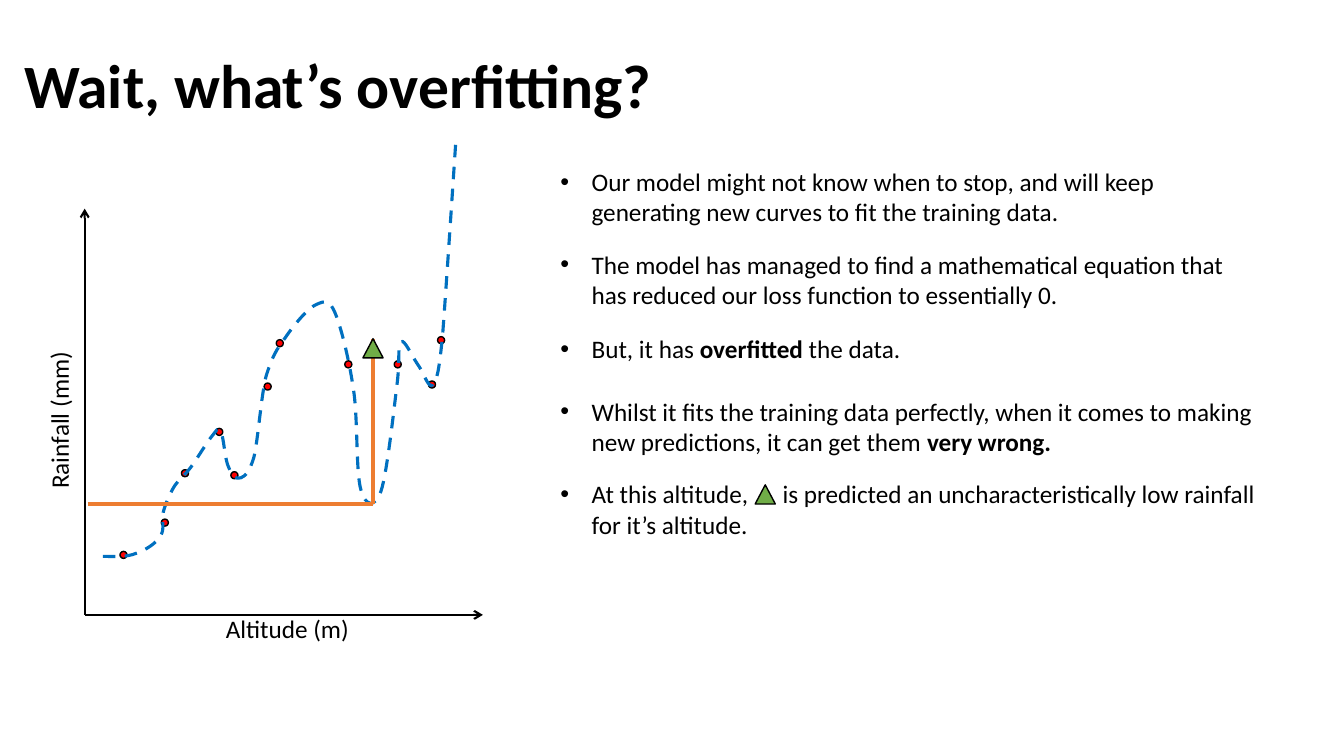
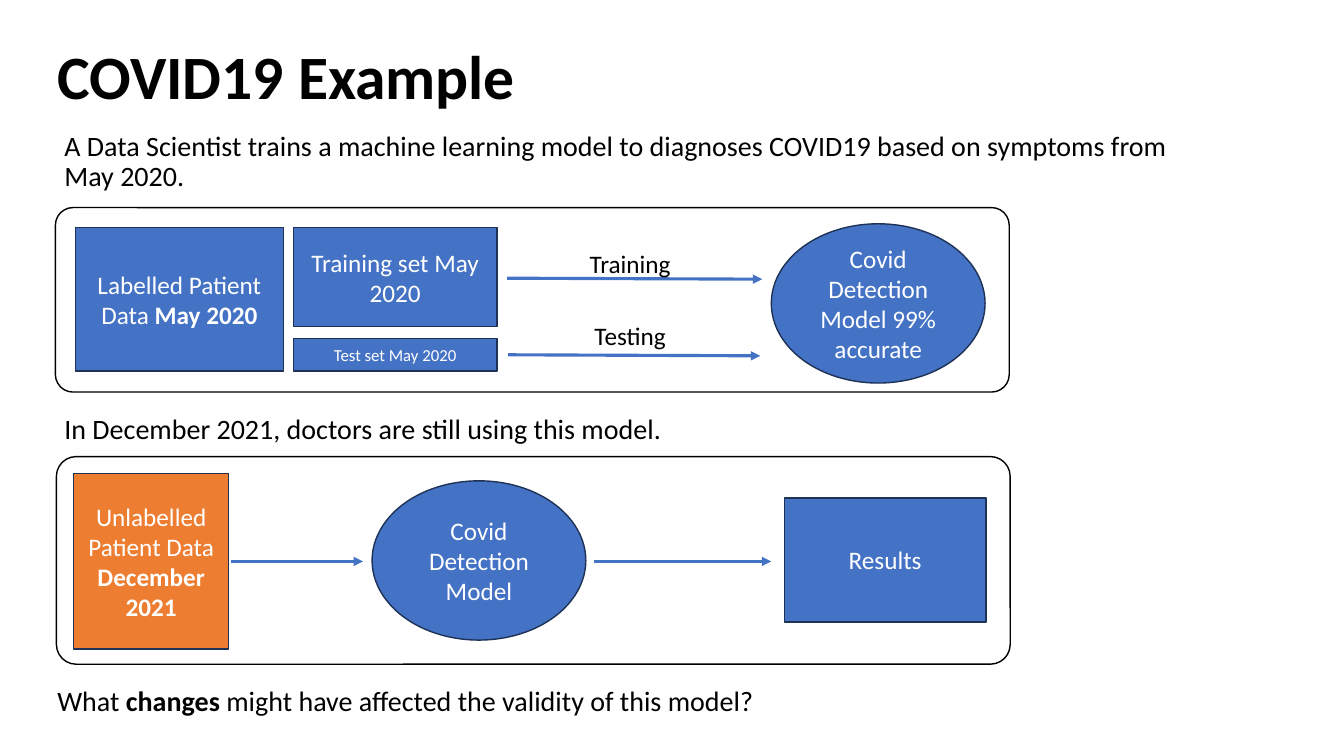
from dataclasses import dataclass
from typing import NamedTuple

from lxml.etree import SubElement
from pptx import Presentation
from pptx.dml.color import RGBColor
from pptx.enum.dml import MSO_LINE
from pptx.enum.shapes import MSO_CONNECTOR, MSO_SHAPE as Preset
from pptx.enum.text import MSO_ANCHOR as Anchor, PP_ALIGN as Align
from pptx.oxml.ns import qn
from pptx.shapes.autoshape import Shape
from pptx.slide import Slide
from pptx.text.text import TextFrame
from pptx.util import Pt

EMU_PER_PX = 9144


@dataclass(frozen=True)
class Theme:
    font: str = "Calibri"
    black: str = "000000"
    white: str = "FFFFFF"
    blue: str = "4472C4"
    navy: str = "1E3256"
    orange: str = "ED7D31"
    green: str = "70AD47"
    red: str = "FF0000"
    curve: str = "0070C0"
    title: int = 44
    lead: int = 20
    body: int = 18
    small: int = 12
    thin: float = 1
    axis: float = 1.5
    thick: float = 2.25


THEME = Theme()


class Box(NamedTuple):
    left: int
    top: int
    width: int
    height: int


class Run(NamedTuple):
    text: str
    bold: bool = False
    spacing: int = 0


class Style(NamedTuple):
    size: int = THEME.body
    color: str = THEME.black
    bold: bool = False
    align: Align = Align.LEFT
    anchor: Anchor = Anchor.TOP
    line_spacing: float = 1.0
    bullet: bool = False


class Block(NamedTuple):
    preset: Preset
    box: Box
    runs: tuple[Run, ...]
    fill: str = THEME.blue
    size: int = THEME.body


class Line(NamedTuple):
    start: tuple[int, int]
    end: tuple[int, int]
    color: str = THEME.blue
    width: float = THEME.thick
    arrow: str = "triangle"


class Bullet(NamedTuple):
    top: int
    height: int
    runs: tuple[Run, ...]


TITLE = Style(THEME.title, bold=True, anchor=Anchor.MIDDLE, line_spacing=0.9)
LEAD = Style(THEME.lead)
LABEL = Style(align=Align.CENTER)
BULLET = Style(bullet=True)

BULLETS = (
    Bullet(160, 71, (Run("Our model might not know when to stop, and will keep generating new curves to fit the training data."),)),
    Bullet(242, 71, (Run("The model has managed to find a mathematical equation that has reduced our loss function to essentially 0."),)),
    Bullet(326, 40, (Run("But, it has "), Run("overfitted", True), Run(" the data."))),
    Bullet(388, 71, (
        Run("Whilst it fits the training data perfectly, when it comes to making new predictions, it can get them "),
        Run("very wrong.", True),
    )),
    Bullet(470, 71, (
        Run("At this altitude,"),
        Run(" ", spacing=2030),
        Run("is predicted an uncharacteristically low rainfall for it’s altitude."),
    )),
)

DOT_SIZE = 7
DOTS = (
    (180, 466), (229, 468), (274, 337), (119, 547), (342, 358), (391, 358),
    (160, 515), (214, 425), (262, 380), (425, 378), (434, 334),
)

CURVE_START = (102, 552)
CURVE_POINTS = (
    (114, 552), (125, 553), (135, 549), (144, 546), (155, 539), (159, 532),
    (164, 525), (160, 516), (162, 508), (164, 500), (168, 491), (172, 484),
    (176, 477), (182, 473), (189, 464), (195, 456), (205, 439), (210, 433),
    (215, 427), (216, 423), (219, 428), (222, 433), (223, 457), (227, 464),
    (230, 472), (234, 476), (239, 474), (243, 472), (247, 470), (252, 453),
    (256, 436), (259, 393), (264, 373), (270, 354), (274, 347), (283, 335),
    (291, 323), (306, 305), (314, 302), (323, 298), (327, 297), (333, 312),
    (339, 327), (347, 360), (351, 389), (355, 418), (353, 469), (358, 486),
    (362, 502), (372, 505), (378, 487), (384, 469), (391, 404), (394, 380),
    (397, 355), (394, 342), (398, 339), (401, 336), (409, 354), (414, 361),
    (420, 369), (425, 386), (429, 382), (433, 377), (435, 373), (439, 333),
    (442, 293), (447, 217), (452, 142),
)

AXES = tuple(
    Line((84, 610), tip, THEME.black, THEME.axis, "arrow") for tip in ((479, 610), (84, 207))
)
PREDICTION_LINES = tuple(
    Line(start, (370, 500), THEME.orange, arrow="") for start in ((370, 336), (87, 500))
)
MARKERS = (Box(360, 336, 20, 19), Box(749, 481, 20, 19))

BLOCKS = (
    Block(Preset.RECTANGLE, Box(75, 226, 206, 142), (Run("Labelled Patient Data "), Run("May 2020", True))),
    Block(Preset.RECTANGLE, Box(291, 226, 202, 98), (Run("Training set May 2020"),)),
    Block(Preset.RECTANGLE, Box(291, 336, 202, 32), (Run("Test set May 2020"),), size=THEME.small),
    Block(Preset.OVAL, Box(765, 222, 212, 158), (Run("Covid Detection Model 99% accurate"),)),
    Block(
        Preset.RECTANGLE, Box(73, 470, 154, 174),
        (Run("Unlabelled Patient Data "), Run("December 2021", True)), THEME.orange,
    ),
    Block(Preset.OVAL, Box(369, 477, 212, 158), (Run("Covid Detection Model"),)),
    Block(Preset.RECTANGLE, Box(778, 494, 200, 123), (Run("Results"),)),
)
FLOWS = (
    Line((503, 276), (756, 277)),
    Line((504, 352), (754, 353)),
    Line((229, 557), (360, 557)),
    Line((589, 557), (765, 557)),
)
FLOW_LABELS = ((241, "Training"), (313, "Testing"))
PANELS = (Box(55, 206, 946, 183), Box(56, 453, 946, 206))


def px(length: int) -> int:
    return length * EMU_PER_PX


def rgb(color: str) -> RGBColor:
    return RGBColor.from_string(color)


def write(frame: TextFrame, runs: tuple[Run, ...], style: Style) -> None:
    frame.word_wrap = True
    frame.vertical_anchor = style.anchor
    paragraph = frame.paragraphs[0]
    paragraph.alignment = style.align
    paragraph.line_spacing = style.line_spacing
    if style.bullet:
        properties = paragraph._p.get_or_add_pPr()
        properties.set("marL", str(px(31)))
        properties.set("indent", str(-px(31)))
        SubElement(properties, qn("a:buFont"), typeface="Arial")
        SubElement(properties, qn("a:buChar"), char="•")
    font = paragraph.font
    font.name = THEME.font
    font.size = Pt(style.size)
    font.bold = style.bold
    font.color.rgb = rgb(style.color)
    for item in runs:
        run = paragraph.add_run()
        run.text = item.text
        if item.bold:
            run.font.bold = True
        if item.spacing:
            run._r.get_or_add_rPr().set("spc", str(item.spacing))


def add_text(slide: Slide, box: Box, runs: tuple[Run, ...], style: Style) -> Shape:
    shape = slide.shapes.add_textbox(*map(px, box))
    write(shape.text_frame, runs, style)
    return shape


def paint(shape: Shape, fill: str | None, line: str, width: float = THEME.thin) -> None:
    shape.shadow.inherit = False
    if fill:
        shape.fill.solid()
        shape.fill.fore_color.rgb = rgb(fill)
    else:
        shape.fill.background()
    shape.line.color.rgb = rgb(line)
    shape.line.width = Pt(width)


def add_preset(slide: Slide, preset: Preset, box: Box, fill: str | None, line: str = THEME.black) -> Shape:
    shape = slide.shapes.add_shape(preset, *map(px, box))
    paint(shape, fill, line)
    return shape


def add_block(slide: Slide, block: Block) -> None:
    shape = add_preset(slide, block.preset, block.box, block.fill, THEME.navy)
    style = Style(block.size, THEME.white, align=Align.CENTER, anchor=Anchor.MIDDLE)
    write(shape.text_frame, block.runs, style)


def add_line(slide: Slide, line: Line) -> None:
    ends = map(px, line.start + line.end)
    connector = slide.shapes.add_connector(MSO_CONNECTOR.STRAIGHT, *ends)
    connector.line.color.rgb = rgb(line.color)
    connector.line.width = Pt(line.width)
    properties = connector._element.spPr
    if line.arrow:
        SubElement(properties.find(qn("a:ln")), qn("a:tailEnd"), type=line.arrow)
    SubElement(properties, qn("a:effectLst"))


def add_curve(slide: Slide) -> None:
    builder = slide.shapes.build_freeform(*CURVE_START, scale=EMU_PER_PX)
    builder.add_line_segments(CURVE_POINTS, close=False)
    shape = builder.convert_to_shape()
    outline = next(shape._element.iter(qn("a:path")))
    segments = outline.findall(qn("a:lnTo"))
    for first in range(0, len(segments), 3):
        bezier = SubElement(outline, qn("a:cubicBezTo"))
        for segment in segments[first:first + 3]:
            bezier.append(segment[0])
            outline.remove(segment)
    paint(shape, None, THEME.curve, THEME.thick)
    shape.line.dash_style = MSO_LINE.DASH


def add_titled_slide(presentation: Presentation, left: int, top: int, title: str) -> Slide:
    slide = presentation.slides.add_slide(presentation.slide_layouts[6])
    add_text(slide, Box(left, top, 1150, 145), (Run(title),), TITLE)
    return slide


def build_overfitting(presentation: Presentation) -> None:
    slide = add_titled_slide(presentation, 14, 15, "Wait, what’s overfitting?")
    for axis in AXES:
        add_line(slide, axis)
    add_text(slide, Box(213, 604, 144, 40), (Run("Altitude (m)"),), LABEL)
    rainfall = add_text(slide, Box(-20, 397, 157, 40), (Run("Rainfall (mm)"),), LABEL)
    rainfall.rotation = 270
    for left, top in DOTS:
        add_preset(slide, Preset.OVAL, Box(left, top, DOT_SIZE, DOT_SIZE), THEME.red)
    add_curve(slide)
    for bullet in BULLETS:
        add_text(slide, Box(546, bullet.top, 717, bullet.height), bullet.runs, BULLET)
    for line in PREDICTION_LINES:
        add_line(slide, line)
    for marker in MARKERS:
        add_preset(slide, Preset.ISOSCELES_TRIANGLE, marker, THEME.green)


def build_covid(presentation: Presentation) -> None:
    slide = add_titled_slide(presentation, 47, 6, "COVID19 Example")
    for panel in PANELS:
        add_preset(slide, Preset.ROUNDED_RECTANGLE, panel, None).adjustments[0] = 0.095
    for block in BLOCKS:
        add_block(slide, block)
    for flow in FLOWS:
        add_line(slide, flow)
    for top, label in FLOW_LABELS:
        add_text(slide, Box(517, top, 216, 40), (Run(label),), LABEL)
    intro = "A Data Scientist trains a machine learning model to diagnoses COVID19 based on symptoms from May 2020."
    add_text(slide, Box(54, 126, 1116, 78), (Run(intro),), LEAD._replace(line_spacing=0.9))
    add_text(slide, Box(54, 403, 667, 44), (Run("In December 2021, doctors are still using this model."),), LEAD)
    question = (Run("What "), Run("changes", True), Run(" might have affected the validity of this model?"))
    add_text(slide, Box(47, 673, 731, 44), question, LEAD)


def main() -> None:
    presentation = Presentation()
    presentation.slide_width = px(1333)
    presentation.slide_height = px(750)
    build_overfitting(presentation)
    build_covid(presentation)
    presentation.save("out.pptx")


if __name__ == "__main__":
    main()
